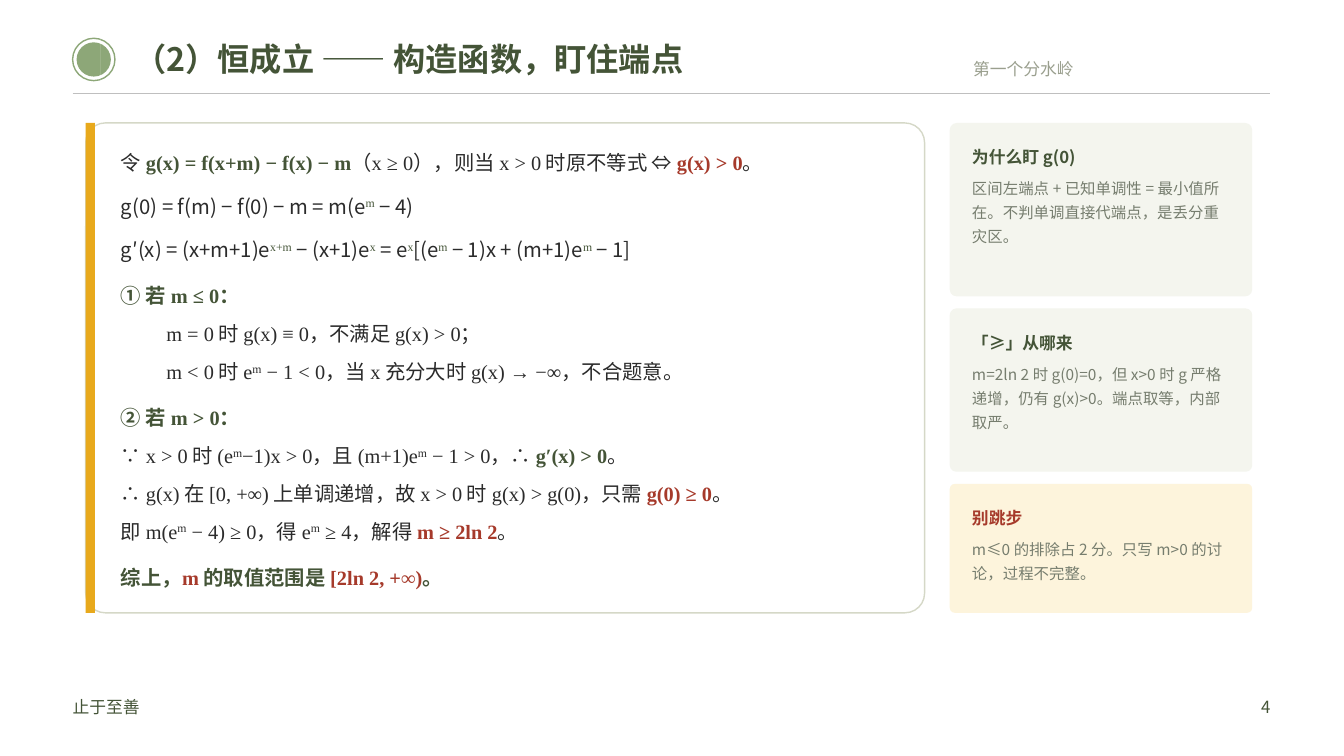
import math
from lxml import etree
from pptx import Presentation
from pptx.dml.color import RGBColor
from pptx.enum import shapes, text
from pptx.oxml import ns
from pptx.util import Inches, Pt

SANS, SERIF = "Noto Sans CJK SC", "Times New Roman"
WHITE = RGBColor(0xFF, 0xFF, 0xFF)
GREEN = RGBColor(0x44, 0x54, 0x37)
SAGE = RGBColor(0x8D, 0xA7, 0x78)
INK = RGBColor(0x2B, 0x2B, 0x2B)
RED = RGBColor(0xA6, 0x3A, 0x2B)
AMBER = RGBColor(0xE8, 0xA9, 0x1C)
CREAM = RGBColor(0xFD, 0xF4, 0xDC)
PALE = RGBColor(0xF4, 0xF5, 0xEE)
BORDER = RGBColor(0xD5, 0xD8, 0xC7)
RULE = RGBColor(0xBF, 0xBF, 0xBF)
MUTED = RGBColor(0x9A, 0x9F, 0x8E)
NOTE = RGBColor(0x76, 0x7D, 0x6E)

PLAIN = dict(size=14.5, color=INK)
HEAD = dict(size=14.5, color=GREEN, bold=True)
MATH = dict(PLAIN, font=SERIF)
KEY = dict(HEAD, font=SERIF)
RESULT = dict(KEY, color=RED)
POWER = dict(MATH, raised=True)
GREEN_POWER = dict(POWER, color=GREEN)

PROOF = [
    (0, 0, [("令 ", PLAIN), ("g(x) = f(x+m) − f(x) − m", KEY), ("（", PLAIN), ("x ≥ 0", MATH),
            ("），则当 ", PLAIN), ("x > 0", MATH), (" 时原不等式 ⇔ ", PLAIN),
            ("g(x) > 0", RESULT), ("。", PLAIN)]),
    (7, 0, [("g(0) = f(m) − f(0) − m = m(e", PLAIN), ("m", GREEN_POWER), (" − 4)", PLAIN)]),
    (7, 0, [("g′(x) = (x+m+1)e", PLAIN), ("x+m", GREEN_POWER), (" − (x+1)e", PLAIN),
            ("x", GREEN_POWER), (" = e", PLAIN), ("x", GREEN_POWER), ("[(e", PLAIN),
            ("m", GREEN_POWER), (" − 1)x + (m+1)e", PLAIN), ("m", GREEN_POWER),
            (" − 1]", PLAIN)]),
    (9, 0, [("① 若 ", HEAD), ("m ≤ 0", KEY), ("：", HEAD)]),
    (3, 0.45, [("m = 0", MATH), (" 时 ", PLAIN), ("g(x) ≡ 0", MATH), ("，不满足 ", PLAIN),
               ("g(x) > 0", MATH), ("；", PLAIN)]),
    (3, 0.45, [("m < 0", MATH), (" 时 ", PLAIN), ("e", MATH), ("m", POWER), (" − 1 < 0", MATH),
               ("，当 ", PLAIN), ("x", MATH), (" 充分大时 ", PLAIN), ("g(x) → −∞", MATH),
               ("，不合题意。", PLAIN)]),
    (9, 0, [("② 若 ", HEAD), ("m > 0", KEY), ("：", HEAD)]),
    (3, 0, [("∵ ", PLAIN), ("x > 0", MATH), (" 时 ", PLAIN), ("(e", MATH), ("m", POWER),
            ("−1)x > 0", MATH), ("，且 ", PLAIN), ("(m+1)e", MATH), ("m", POWER),
            (" − 1 > 0", MATH), ("，∴ ", PLAIN), ("g′(x) > 0", KEY), ("。", PLAIN)]),
    (3, 0, [("∴ ", PLAIN), ("g(x)", MATH), (" 在 ", PLAIN), ("[0, +∞)", MATH),
            (" 上单调递增，故 ", PLAIN), ("x > 0", MATH), (" 时 ", PLAIN), ("g(x) > g(0)", MATH),
            ("，只需 ", PLAIN), ("g(0) ≥ 0", RESULT), ("。", PLAIN)]),
    (3, 0, [("即 ", PLAIN), ("m(e", MATH), ("m", POWER), (" − 4) ≥ 0", MATH), ("，得 ", PLAIN),
            ("e", MATH), ("m", POWER), (" ≥ 4", MATH), ("，解得 ", PLAIN),
            ("m ≥ 2ln 2", RESULT), ("。", PLAIN)]),
    (9, 0, [("综上，", HEAD), ("m", RESULT), (" 的取值范围是 ", HEAD),
            ("[2ln 2, +∞)", RESULT), ("。", HEAD)]),
]

TIPS = [
    (1.22, 1.72, PALE, GREEN, "为什么盯 g(0)",
     "区间左端点 + 已知单调性 = 最小值所在。不判单调直接代端点，是丢分重灾区。"),
    (3.06, 1.62, PALE, GREEN, "「≥」从哪来",
     "m=2ln 2 时 g(0)=0，但 x>0 时 g 严格递增，仍有 g(x)>0。端点取等，内部取严。"),
    (4.8, 1.28, CREAM, RED, "别跳步", "m≤0 的排除占 2 分。只写 m>0 的讨论，过程不完整。"),
]


def write(paragraph, content, size=12, color=GREEN, bold=False, font=SANS, raised=False):
    run = paragraph.add_run()
    run.text = content
    run.font.size, run.font.bold, run.font.name = Pt(size), bold, font
    run.font.color.rgb = color
    properties = run.font._element
    etree.SubElement(properties, ns.qn("a:ea")).set("typeface", SANS)
    if raised:
        properties.set("baseline", "30000")


def text_frame(slide, left, top, width, height):
    frame = slide.shapes.add_textbox(*map(Inches, (left, top, width, height))).text_frame
    clear_margins(frame)
    return frame


def clear_margins(frame):
    frame.word_wrap = True
    frame.margin_left = frame.margin_right = frame.margin_top = frame.margin_bottom = 0


def label(slide, box, content, align=text.PP_ALIGN.LEFT, **style):
    line = text_frame(slide, *box).paragraphs[0]
    line.alignment, line.line_spacing = align, 1.28
    write(line, content, **style)


def paint(shape, fill=None, line=None):
    shape.shadow.inherit = False
    if fill is None:
        shape.fill.background()
    else:
        shape.fill.solid()
        shape.fill.fore_color.rgb = fill
    if line is None:
        shape.line.fill.background()
    else:
        shape.line.color.rgb, shape.line.width = line, Pt(1)


def panel(slide, kind, box, fill=None, line=None):
    shape = slide.shapes.add_shape(kind, *map(Inches, box))
    if kind == shapes.MSO_SHAPE.ROUNDED_RECTANGLE:
        shape.adjustments[0] = 0.04
    paint(shape, fill, line)


def circle(x, y, radius):
    turns = [math.tau * step / 24 for step in range(24)]
    return [(x + radius * math.cos(t), y + radius * math.sin(t)) for t in turns]


def emblem(slide, left, top, size):
    oval = shapes.MSO_SHAPE.OVAL
    panel(slide, oval, (left, top, size, size), line=SAGE)
    panel(slide, oval, (left + 0.04, top + 0.04, size - 0.08, size - 0.08), fill=SAGE)
    x, y = left + size / 2, top + size / 2
    half_arm = [(0.07, 0.01), (0.09, 0.01), (0.09, 0.02), (0.1, 0.02)]
    arm = [(r, -w) for r, w in half_arm] + half_arm[::-1]
    turns = [math.tau * step / 8 for step in range(8)]
    gear = [(x + r * math.cos(t) - w * math.sin(t), y + r * math.sin(t) + w * math.cos(t))
            for t in turns for r, w in arm]
    holes = [circle(x, y, 0.06), circle(x - 0.01, y - 0.01, 0.02), circle(x + 0.02, y + 0.01, 0.01)]
    builder = slide.shapes.build_freeform(*gear[0], scale=Inches(1))
    builder.add_line_segments(gear[1:])
    for hole in holes:
        builder.move_to(*hole[0])
        builder.add_line_segments(hole[1:])
    paint(builder.convert_to_shape(), fill=WHITE)


def header(slide, left, top, width):
    emblem(slide, left, top, 0.42)
    title = slide.shapes.title
    title.left, title.top, title.width, title.height = map(Inches, (left + 0.61, top, 9.76, 0.44))
    frame = title.text_frame
    clear_margins(frame)
    frame.margin_top = Inches(0.05)
    frame.auto_size = text.MSO_AUTO_SIZE.NONE
    frame.vertical_anchor = text.MSO_ANCHOR.TOP
    heading = frame.paragraphs[0]
    heading.alignment, heading.line_spacing = text.PP_ALIGN.LEFT, 0.9
    write(heading, "（2）恒成立 —— 构造函数，盯住端点", size=23, bold=True)
    label(slide, (left + 6.38, top + 0.15, 3.55, 0.3), "第一个分水岭",
          align=text.PP_ALIGN.RIGHT, color=MUTED)
    y = Inches(top + 0.55)
    rule = slide.shapes.add_connector(shapes.MSO_CONNECTOR.STRAIGHT, Inches(left), y,
                                      Inches(left + width), y)
    rule.line.color.rgb, rule.line.width = RULE, Pt(0.5)
    etree.SubElement(rule._element.spPr, ns.qn("a:effectLst"))


def proof_card(slide, left, top, width, height):
    panel(slide, shapes.MSO_SHAPE.ROUNDED_RECTANGLE, (left, top, width, height), WHITE, BORDER)
    panel(slide, shapes.MSO_SHAPE.RECTANGLE, (left, top, 0.09, height), AMBER)
    frame = text_frame(slide, left + 0.35, top + 0.18, width - 0.57, height - 0.31)
    for index, (gap, indent, pieces) in enumerate(PROOF):
        step = frame.add_paragraph() if index else frame.paragraphs[0]
        step.line_spacing = 1.38
        if gap:
            step.space_before = Pt(gap)
        if indent:
            step._p.get_or_add_pPr().set("marL", str(Inches(indent)))
        for content, style in pieces:
            write(step, content, **style)


def tip_card(slide, left, top, width, height, fill, accent, heading, advice):
    panel(slide, shapes.MSO_SHAPE.ROUNDED_RECTANGLE, (left, top, width, height), fill)
    frame = text_frame(slide, left + 0.22, top + 0.18, width - 0.42, height - 0.27)
    frame.paragraphs[0].line_spacing = 1.28
    write(frame.paragraphs[0], heading, color=accent, bold=True)
    body = frame.add_paragraph()
    body.line_spacing, body.space_before = 1.3, Pt(5)
    write(body, advice, size=11, color=NOTE)


def footer(slide, left, top, width):
    label(slide, (left, top, 2.2, 0.32), "止于至善")
    label(slide, (left + width - 1.4, top, 1.4, 0.32), "4", align=text.PP_ALIGN.RIGHT)


def main():
    deck = Presentation()
    deck.slide_width, deck.slide_height = Inches(13.33), Inches(7.5)
    slide = deck.slides.add_slide(deck.slide_layouts[5])
    header(slide, 0.72, 0.38, 11.88)
    proof_card(slide, 0.85, 1.22, 8.32, 4.86)
    for top, height, *content in TIPS:
        tip_card(slide, 9.42, top, 3, height, *content)
    footer(slide, 0.72, 6.86, 11.88)
    deck.save("out.pptx")


if __name__ == "__main__":
    main()
